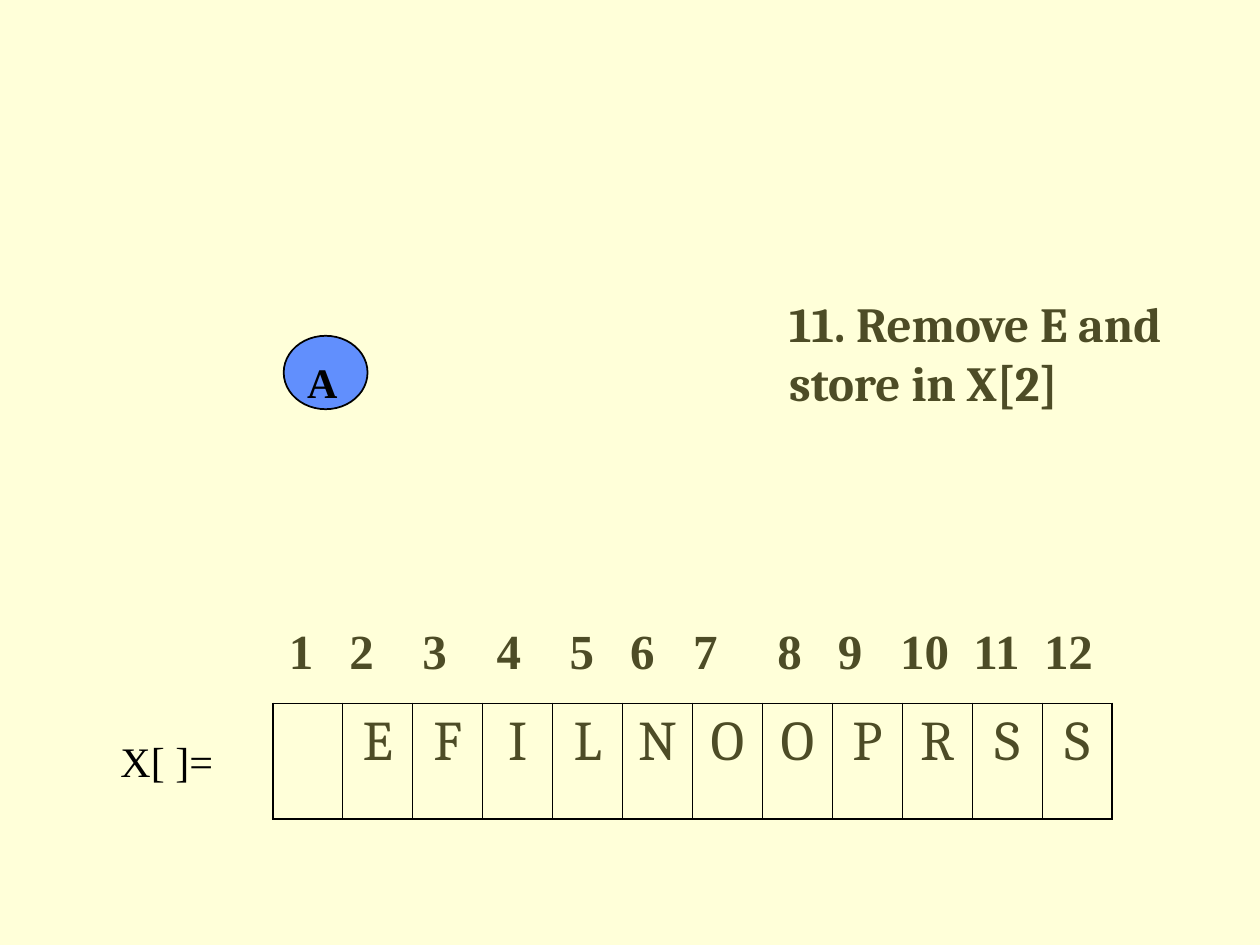
from lxml.etree import SubElement
from pptx import Presentation
from pptx.dml.color import RGBColor
from pptx.enum.shapes import MSO_SHAPE
from pptx.enum.text import PP_ALIGN
from pptx.oxml.ns import qn
from pptx.util import Cm, Pt

HUES = {"page": "FFFFD9", "node": "618FFD", "ink": "000000", "olive": "4D4C26"}
SERIF, BODY = "Times New Roman", "Cambria"
STOPS = [0.74, 1.96, 3.43, 4.93, 6.4, 7.62, 8.89, 10.59, 11.81, 13.31, 14.76, 16.21]


def hue(name):
    """Return the named colour."""
    return RGBColor.from_string(HUES[name])


def style(para, size, face, tint, bold=False):
    """Set the font of a paragraph."""
    font = para.font
    font.size, font.name, font.bold = Pt(size), face, bold
    font.color.rgb = hue(tint)


def label(slide, box, text, size, face, tint, bold=False, stops=()):
    """Add a wrapped text box, with centred tab stops if given."""
    frame = slide.shapes.add_textbox(*map(Cm, box)).text_frame
    frame.word_wrap = True
    para = frame.paragraphs[0]
    para.text = text
    if stops:
        tabs = SubElement(para._p.get_or_add_pPr(), qn("a:tabLst"))
        for stop in stops:
            SubElement(tabs, qn("a:tab"), pos=str(Cm(stop)), algn="ctr")
    style(para, size, face, tint, bold)


def node(slide, box, text):
    """Draw a heap node with its letter."""
    left, top, wide, high = box
    oval = slide.shapes.add_shape(MSO_SHAPE.OVAL, *map(Cm, box))
    oval.shadow.inherit = False
    oval.fill.solid()
    oval.fill.fore_color.rgb = hue("node")
    oval.line.color.rgb = hue("ink")
    oval.line.width = Pt(1)
    spot = left + 0.22, top + 0.3, 1.06, 1.27
    label(slide, spot, text, 24, SERIF, "ink", True)


def edge(cell, side, width):
    """Draw one border of a cell."""
    line = SubElement(cell._tc.get_or_add_tcPr(), qn(f"a:{side}"), w=str(Pt(width)))
    fill = SubElement(line, qn("a:solidFill"))
    SubElement(fill, qn("a:srgbClr"), val=HUES["ink"])


def array(slide, box, items):
    """Draw the array as a one-row table under its index numbers."""
    left, top, wide, high = box
    count = len(items)
    marks = "".join(f"\t{i}" for i in range(1, count + 1))
    spot = left - 0.42, top - 1.8, 17.58, 1.45
    label(slide, spot, marks, 28, SERIF, "olive", True, STOPS)
    table = slide.shapes.add_table(1, count, *map(Cm, box)).table
    table.first_row = table.horz_banding = False
    for i, item in enumerate(items):
        table.columns[i].width = Cm(wide / count)
        cell = table.cell(0, i)
        edge(cell, "lnL", 1.08 if i == 0 else 0.45)
        edge(cell, "lnR", 1.08 if i == count - 1 else 0.45)
        edge(cell, "lnT", 1.08)
        edge(cell, "lnB", 1.08)
        cell.fill.background()
        para = cell.text_frame.paragraphs[0]
        para.text = item
        para.alignment = PP_ALIGN.CENTER
        style(para, 32, BODY, "olive")
    label(slide, (left - 3.32, top + 0.52, 4.01, 1.27), "X[ ]=", 24, SERIF, "ink")


def main():
    """Build the slide and save it."""
    deck = Presentation()
    deck.slide_width, deck.slide_height = Cm(25.4), Cm(19.05)
    slide = deck.slides.add_slide(deck.slide_layouts[6])
    slide.background.fill.solid()
    slide.background.fill.fore_color.rgb = hue("page")
    node(slide, (5.72, 6.77, 1.69, 1.48), "A")
    step = "11. Remove E and store in X[2]"
    label(slide, (15.66, 5.8, 8.47, 3.81), step, 28, BODY, "olive", True)
    array(slide, (5.5, 14.18, 16.93, 2.33), ["", *"EFILNOOPRSS"])
    deck.save("out.pptx")


if __name__ == "__main__":
    main()
